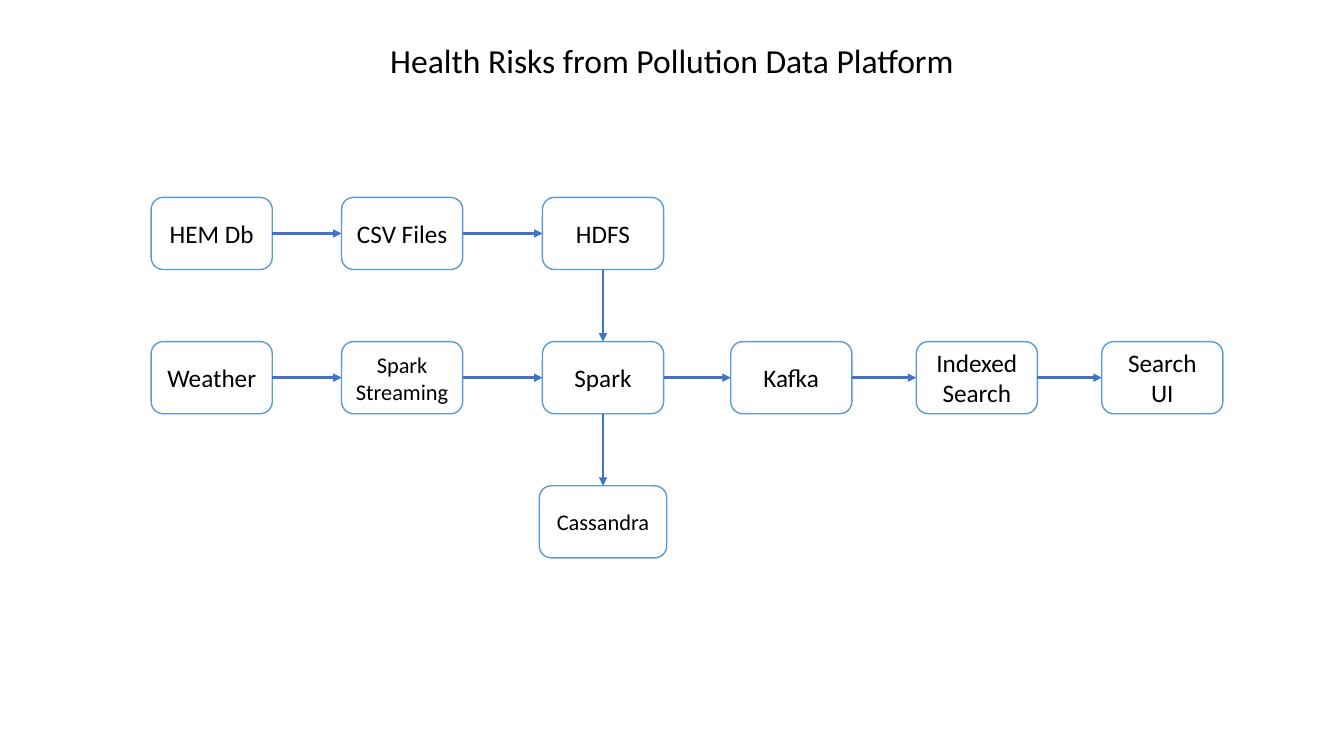
from dataclasses import dataclass

import lxml.etree
import pptx
import pptx.dml.color
import pptx.enum.shapes
import pptx.enum.text
import pptx.oxml.ns
import pptx.shapes.autoshape
import pptx.slide
import pptx.text.text
import pptx.util

Pt = pptx.util.Pt

COLOURS = {"text": "000000", "fill": "FFFFFF", "outline": "5B9BD5", "arrow": "4472C4"}
FONT = "Calibri"
COLUMN_LEFTS = (108, 244, 387.5, 522, 654.5, 787)
FIRST_ROW_TOP, ROW_STEP = 141, 103
STAGE_WIDTH, STAGE_HEIGHT = 86.5, 51.5
TOP, LEFT, BOTTOM, RIGHT = range(4)


@dataclass(frozen=True)
class Stage:
    label: str
    column: int
    row: int
    size: float = 18
    width: float = STAGE_WIDTH


@dataclass(frozen=True)
class Flow:
    source: str
    target: str
    exit_side: int = RIGHT
    entry_side: int = LEFT


STAGES = (
    Stage("HEM Db", 0, 0),
    Stage("CSV Files", 1, 0),
    Stage("HDFS", 2, 0),
    Stage("Weather", 0, 1),
    Stage("Spark Streaming", 1, 1, size=16),
    Stage("Spark", 2, 1),
    Stage("Kafka", 3, 1),
    Stage("Indexed Search", 4, 1),
    Stage("Search UI", 5, 1),
    Stage("Cassandra", 2, 2, size=16, width=91),
)
FLOWS = (
    Flow("HEM Db", "CSV Files"),
    Flow("CSV Files", "HDFS"),
    Flow("HDFS", "Spark", BOTTOM, TOP),
    Flow("Spark", "Cassandra", BOTTOM, TOP),
    Flow("Weather", "Spark Streaming"),
    Flow("Spark Streaming", "Spark"),
    Flow("Spark", "Kafka"),
    Flow("Kafka", "Indexed Search"),
    Flow("Indexed Search", "Search UI"),
)


def colour(name: str) -> pptx.dml.color.RGBColor:
    return pptx.dml.color.RGBColor.from_string(COLOURS[name])


def write_centred(frame: pptx.text.text.TextFrame, text: str, size: float) -> None:
    frame.text = text
    frame.word_wrap = True
    paragraph = frame.paragraphs[0]
    paragraph.alignment = pptx.enum.text.PP_ALIGN.CENTER
    font = paragraph.runs[0].font
    font.name = FONT
    font.size = Pt(size)
    font.color.rgb = colour("text")


def set_title(slide: pptx.slide.Slide, text: str) -> None:
    title = slide.shapes.title
    title.left, title.top, title.width, title.height = Pt(13.5), Pt(25), Pt(933), Pt(36)
    write_centred(title.text_frame, text, 24)
    title.text_frame.auto_size = pptx.enum.text.MSO_AUTO_SIZE.NONE
    title.text_frame.vertical_anchor = pptx.enum.text.MSO_ANCHOR.TOP


def draw_stage(slide: pptx.slide.Slide, stage: Stage) -> pptx.shapes.autoshape.Shape:
    """Draw a stage box, keeping wider boxes centred on their column."""
    left = COLUMN_LEFTS[stage.column] - (stage.width - STAGE_WIDTH) / 2
    top = FIRST_ROW_TOP + stage.row * ROW_STEP
    box = slide.shapes.add_shape(
        pptx.enum.shapes.MSO_SHAPE.ROUNDED_RECTANGLE,
        Pt(left), Pt(top), Pt(stage.width), Pt(STAGE_HEIGHT),
    )
    box.shadow.inherit = False
    box.fill.solid()
    box.fill.fore_color.rgb = colour("fill")
    box.line.color.rgb = colour("outline")
    box.line.width = Pt(1)
    write_centred(box.text_frame, stage.label, stage.size)
    box.text_frame.vertical_anchor = pptx.enum.text.MSO_ANCHOR.MIDDLE
    return box


def draw_flow(
    slide: pptx.slide.Slide,
    flow: Flow,
    boxes: dict[str, pptx.shapes.autoshape.Shape],
) -> None:
    arrow = slide.shapes.add_connector(
        pptx.enum.shapes.MSO_CONNECTOR.STRAIGHT, Pt(0), Pt(0), Pt(0), Pt(0)
    )
    arrow.begin_connect(boxes[flow.source], flow.exit_side)
    arrow.end_connect(boxes[flow.target], flow.entry_side)
    arrow.line.color.rgb = colour("arrow")
    arrow.line.width = Pt(2)
    qn = pptx.oxml.ns.qn
    properties = arrow.element.spPr
    outline = properties.find(qn("a:ln"))
    lxml.etree.SubElement(outline, qn("a:tailEnd"), type="triangle")
    lxml.etree.SubElement(properties, qn("a:effectLst"))


def main() -> None:
    presentation = pptx.Presentation()
    presentation.slide_width, presentation.slide_height = Pt(960), Pt(540)
    title_only = presentation.slide_layouts.get_by_name("Title Only")
    slide = presentation.slides.add_slide(title_only)
    set_title(slide, "Health Risks from Pollution Data Platform")
    boxes = {stage.label: draw_stage(slide, stage) for stage in STAGES}
    for flow in FLOWS:
        draw_flow(slide, flow, boxes)
    presentation.save("out.pptx")


if __name__ == "__main__":
    main()
